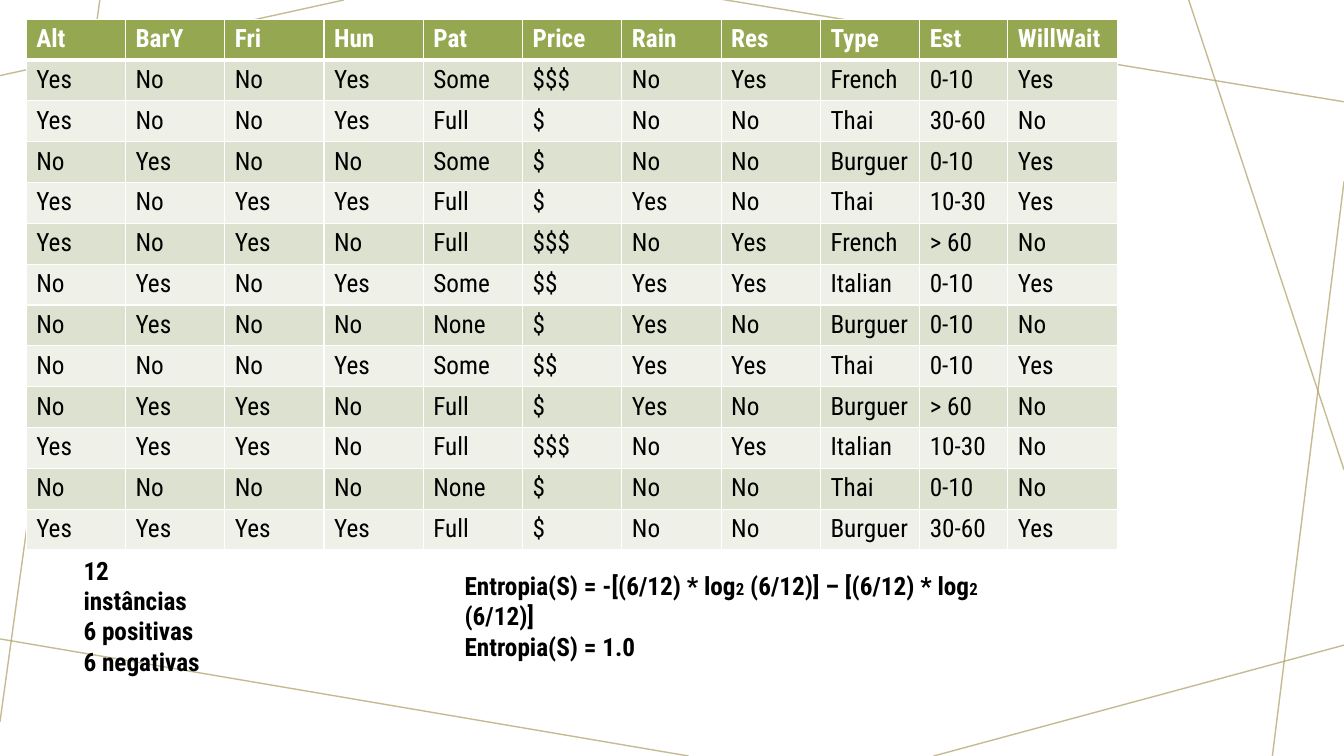
from lxml import etree
from pptx import Presentation
from pptx.dml.color import RGBColor
from pptx.enum.shapes import MSO_CONNECTOR
from pptx.oxml.ns import qn
from pptx.util import Inches, Pt

STRAIGHT = MSO_CONNECTOR.STRAIGHT

# Colours, font and type sizes
THEME = {
    "font": "Roboto Condensed",
    "body_size": 18,
    "subscript_size": 12,
    "white": "FFFFFF",
    "black": "000000",
    "line": "AD9F66",
    "header": "95A851",
    "bands": ("DDE1D0", "EFF1E9"),
}
WIDTH, HEIGHT = 13.33, 7.5


def write(text_frame, paragraphs, color=THEME["black"], bold=False):
    """Fill a text frame; each paragraph is a list of (text, size) runs."""
    for index, runs in enumerate(paragraphs):
        paragraph = text_frame.paragraphs[0] if index == 0 else text_frame.add_paragraph()
        for text, size in runs:
            run = paragraph.add_run()
            run.text = text
            run.font.name = THEME["font"]
            run.font.size = Pt(size)
            run.font.bold = bold
            run.font.color.rgb = RGBColor.from_string(color)


def add_border(cell, side, points):
    """Draw one white edge of a table cell; side is L, R, T or B."""
    edge = etree.SubElement(cell._tc.get_or_add_tcPr(), qn(f"a:ln{side}"), w=str(Pt(points)))
    fill = etree.SubElement(edge, qn("a:solidFill"))
    etree.SubElement(fill, qn("a:srgbClr"), val=THEME["white"])


presentation = Presentation()
presentation.slide_width = Inches(WIDTH)
presentation.slide_height = Inches(HEIGHT)
slide = presentation.slides.add_slide(presentation.slide_layouts[6])

# Background lines, each from one slide edge to another
background_lines = [
    (3.41, 0, 0, 0.75),
    (0.99, 0, 0, 7.16),
    (6.83, HEIGHT, -0.05, 6.33),
    (WIDTH, 6.4, 9.26, HEIGHT),
    (WIDTH, 1.8, 12.62, HEIGHT),
    (WIDTH, 4.66, 11.79, 0),
    (WIDTH, 1.01, 7.14, -0.01),
]
for ends in background_lines:
    connector = slide.shapes.add_connector(STRAIGHT, *[Inches(value) for value in ends])
    connector.line.width = Pt(1)
    connector.line.color.rgb = RGBColor.from_string(THEME["line"])
    color_element = connector._element.spPr.find(".//" + qn("a:srgbClr"))
    etree.SubElement(color_element, qn("a:alpha"), val="70000")
    etree.SubElement(connector._element.spPr, qn("a:effectLst"))

# Table of restaurant examples
examples = [row.split("|") for row in (
    "Alt|BarY|Fri|Hun|Pat|Price|Rain|Res|Type|Est|WillWait",
    "Yes|No|No|Yes|Some|$$$|No|Yes|French|0-10|Yes",
    "Yes|No|No|Yes|Full|$|No|No|Thai|30-60|No",
    "No|Yes|No|No|Some|$|No|No|Burguer|0-10|Yes",
    "Yes|No|Yes|Yes|Full|$|Yes|No|Thai|10-30|Yes",
    "Yes|No|Yes|No|Full|$$$|No|Yes|French|> 60|No",
    "No|Yes|No|Yes|Some|$$|Yes|Yes|Italian|0-10|Yes",
    "No|Yes|No|No|None|$|Yes|No|Burguer|0-10|No",
    "No|No|No|Yes|Some|$$|Yes|Yes|Thai|0-10|Yes",
    "No|Yes|Yes|No|Full|$|Yes|No|Burguer|> 60|No",
    "Yes|Yes|Yes|No|Full|$$$|No|Yes|Italian|10-30|No",
    "No|No|No|No|None|$|No|No|Thai|0-10|No",
    "Yes|Yes|Yes|Yes|Full|$|No|No|Burguer|30-60|Yes",
)]
column_widths = [0.985] * 9 + [0.875, 1.09]
table_height = 5.27
table = slide.shapes.add_table(
    len(examples), len(column_widths), Inches(0.26), Inches(0.19),
    Inches(sum(column_widths)), Inches(table_height)).table
for column, width in zip(table.columns, column_widths):
    column.width = Inches(width)
for row_index, values in enumerate(examples):
    table.rows[row_index].height = Inches(table_height / len(examples))
    is_header = row_index == 0
    fill_color = THEME["header"] if is_header else THEME["bands"][(row_index - 1) % 2]
    for column_index, value in enumerate(values):
        cell = table.cell(row_index, column_index)
        write(cell.text_frame, [[(value, THEME["body_size"])]],
              color=THEME["white"] if is_header else THEME["black"], bold=is_header)
        add_border(cell, "L", 1)
        add_border(cell, "R", 1)
        add_border(cell, "T", 3 if row_index == 1 else 1)
        add_border(cell, "B", 3 if is_header else 1)
        cell.fill.solid()
        cell.fill.fore_color.rgb = RGBColor.from_string(fill_color)

# Class counts and entropy below the table
body, subscript = THEME["body_size"], THEME["subscript_size"]
counts = [[("12 instâncias", body)], [("6 positivas", body)], [("6 negativas", body)]]
entropy = [
    [("Entropia(S) = -[(6/12) * log", body), ("2", subscript),
     (" (6/12)] – [(6/12) * log", body), ("2", subscript), (" (6/12)]", body)],
    [("Entropia(S) = 1.0", body)],
]
for left, top, width, height, paragraphs in (
    (0.73, 5.46, 1.41, 1.01, counts),
    (4.51, 5.61, 5.36, 0.71, entropy),
):
    text_box = slide.shapes.add_textbox(Inches(left), Inches(top), Inches(width), Inches(height))
    text_box.text_frame.word_wrap = True
    write(text_box.text_frame, paragraphs, bold=True)

presentation.save("out.pptx")
